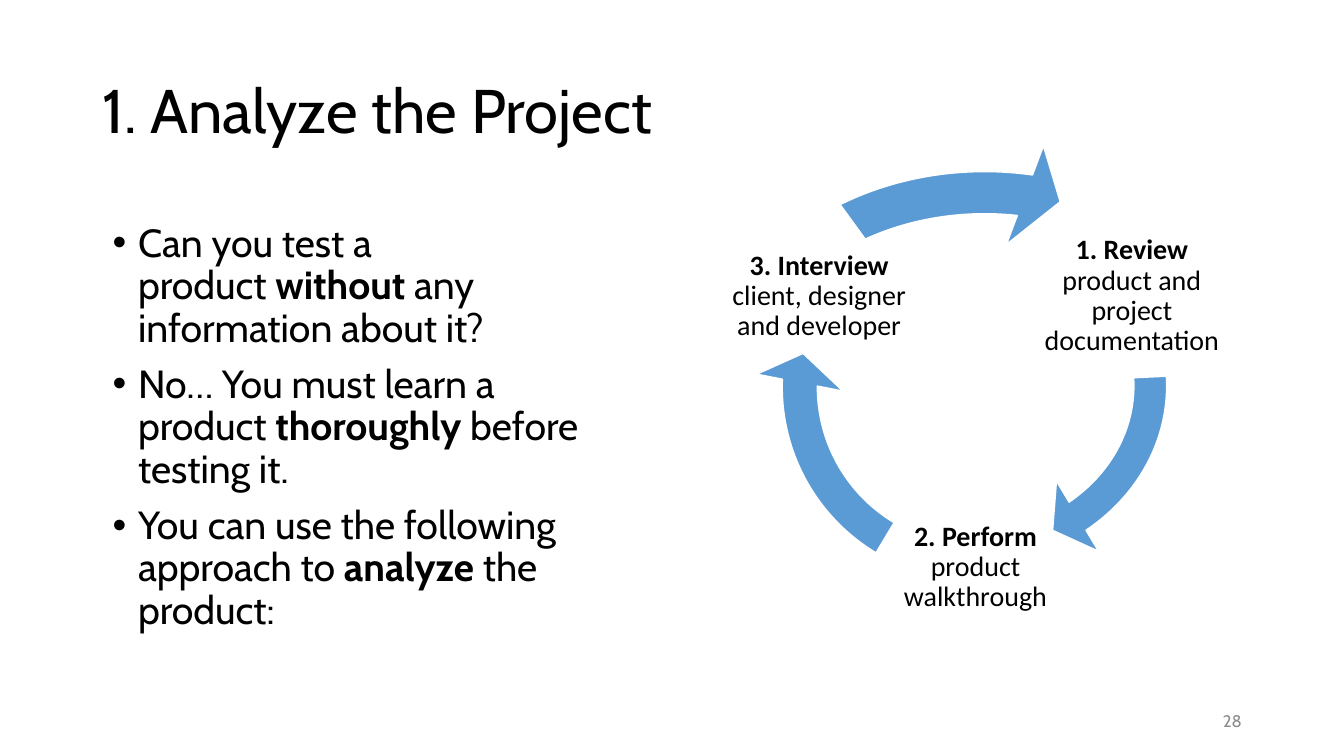
"""Build the slide "1. Analyze the Project" with its three-step cycle."""
from lxml.etree import SubElement
from pptx import Presentation
from pptx.dml.color import RGBColor
from pptx.enum.shapes import MSO_SHAPE
from pptx.enum.text import MSO_ANCHOR as ANCHOR, PP_ALIGN as ALIGN
from pptx.oxml.ns import qn
from pptx.util import Cm, Pt

BLACK = RGBColor(0, 0, 0)
GRAY = RGBColor(0x8C, 0x8C, 0x8C)
BLUE = RGBColor(0x5B, 0x9B, 0xD5)
WHITE = RGBColor(255, 255, 255)


def add_text(box, paragraphs, size, font="Cabin", color=BLACK, anchor=ANCHOR.MIDDLE,
             margins=None, **formats):
    tf = s.shapes.add_textbox(*map(Cm, box)).text_frame
    frame = {"word_wrap": True, "vertical_anchor": anchor, **(margins or {})}
    for name, value in frame.items():
        setattr(tf, name, value)
    for i, runs in enumerate(paragraphs):
        p = tf.add_paragraph() if i else tf.paragraphs[0]
        for name, value in formats.items():
            setattr(p, name, value)
        for text, bold in runs:
            r = p.add_run()
            r.text = text
            for name, value in {"name": font, "size": Pt(size), "bold": bold}.items():
                setattr(r.font, name, value)
            r.font.color.rgb = color
    return tf


prs = Presentation()
prs.slide_width, prs.slide_height = Cm(33.87), Cm(19.05)
s = prs.slides.add_slide(prs.slide_layouts[6])

add_text((2.33, 1.02, 29.21, 3.68), [[("1. Analyze the Project", False)]], 44,
         line_spacing=0.9)

points = [
    [("Can you test a product\u00a0", False), ("without", True),
     ("\u00a0any information about it? ", False)],
    [("No… You must learn a product\u00a0", False), ("thoroughly\u00a0", True),
     ("before testing it.", False)],
    [("You can use the following approach to ", False), ("analyze", True),
     (" the product: ", False)],
]
body = add_text((2.59, 5.51, 14.58, 10.57), points, 28, anchor=ANCHOR.TOP,
                line_spacing=0.9, space_before=Pt(10))
for p in body.paragraphs:
    pPr = p._p.get_or_add_pPr()
    pPr.set("marL", str(Cm(0.64)))
    pPr.set("indent", str(Cm(-0.64)))
    SubElement(pPr, qn("a:buFont"), typeface="Arial")
    SubElement(pPr, qn("a:buChar"), char="•")

add_text((23.93, 17.65, 7.62, 1.02), [[("28", False)]], 12, color=GRAY,
         alignment=ALIGN.RIGHT)

steps = [
    ("1. Review", " product and project documentation", (26.19, 5.41, 4.67, 4.11),
     (18.67, 4.57, 11.35, 10.31), 29.66, 214.34),
    ("2. Perform", " product walkthrough", (22.25, 13.06, 4.67, 2.49),
     (19.05, 4.22, 11.07, 11.07), 108.87, 72.59),
    ("3. Interview", " client, designer and developer", (18.31, 6.07, 4.67, 2.79),
     (16.94, 3.53, 15.75, 13.26), 168.58, 140.37),
]
inset = {f"margin_{side}": Cm(0.08) for side in ("left", "top", "right", "bottom")}
for verb, detail, label_box, arrow_box, end, start in steps:
    add_text(label_box, [[(verb, True), (detail, False)]], 20, "Calibri",
             margins=inset, alignment=ALIGN.CENTER, line_spacing=0.9)
    arrow = s.shapes.add_shape(MSO_SHAPE.CIRCULAR_ARROW, *map(Cm, arrow_box))
    for i, value in enumerate((0.08, 5.76, end, start, 0.1)):
        arrow.adjustments[i] = value
    arrow.shadow.inherit = False
    arrow.fill.solid()
    arrow.fill.fore_color.rgb = BLUE
    arrow.line.color.rgb = WHITE
    arrow.line.width = Pt(1)

prs.save("out.pptx")
